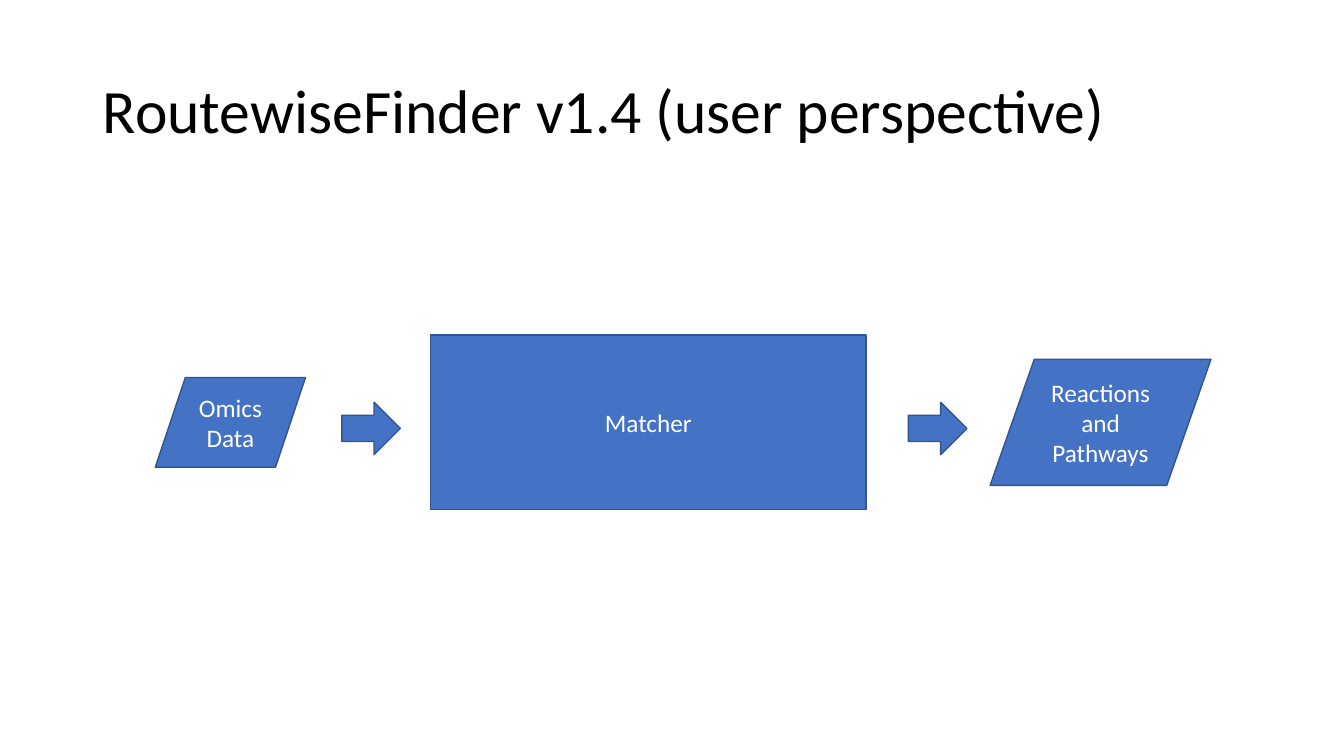
from pptx import Presentation
from pptx.dml.color import RGBColor
from pptx.enum.shapes import MSO_SHAPE as SHAPE
from pptx.enum.text import MSO_ANCHOR as ANCHOR, MSO_AUTO_SIZE as AUTO_SIZE, PP_ALIGN as ALIGN
from pptx.util import Inches, Pt

COLORS = {"text": "000000", "fill": "4472C4", "line": "325491", "label": "FFFFFF"}
FONT = "Calibri"
CENTER_Y = 4.19
ARROW_TOP = 3.99


def rgb(name):
    """Return the named colour."""
    return RGBColor.from_string(COLORS[name])


def write(tf, text, size, color, align):
    """Put one formatted run into a text frame, centred vertically."""
    tf.word_wrap = True
    tf.vertical_anchor = ANCHOR.MIDDLE
    p = tf.paragraphs[0]
    p.alignment = align
    r = p.add_run()
    r.text = text
    r.font.size = Pt(size)
    r.font.name = FONT
    r.font.color.rgb = rgb(color)
    return p


def add_title(slide, text):
    """Place and fill the title placeholder."""
    sp = slide.shapes.title
    sp.left, sp.top, sp.width, sp.height = map(Inches, (0.92, 0.4, 11.5, 1.45))
    p = write(sp.text_frame, text, 44, "text", ALIGN.LEFT)
    p.line_spacing = 0.9
    sp.text_frame.auto_size = AUTO_SIZE.NONE


def add_block(slide, kind, left, top, width, height):
    """Add a filled and outlined preset shape."""
    sp = slide.shapes.add_shape(kind, *map(Inches, (left, top, width, height)))
    sp.shadow.inherit = False
    sp.fill.solid()
    sp.fill.fore_color.rgb = rgb("fill")
    sp.line.color.rgb = rgb("line")
    sp.line.width = Pt(1)
    return sp


def add_step(slide, kind, left, width, height, text):
    """Add a labelled flowchart step centred on the flow line."""
    sp = add_block(slide, kind, left, CENTER_Y - height / 2, width, height)
    write(sp.text_frame, text, 18, "label", ALIGN.CENTER)


def add_arrow(slide, left):
    """Add a block arrow between two steps."""
    add_block(slide, SHAPE.RIGHT_ARROW, left, ARROW_TOP, 0.58, 0.52)


def main():
    """Build the slide and save it."""
    prs = Presentation()
    prs.slide_width, prs.slide_height = Inches(13.33), Inches(7.5)
    slide = prs.slides.add_slide(prs.slide_layouts[5])
    add_title(slide, "RoutewiseFinder v1.4 (user perspective)")
    add_step(slide, SHAPE.FLOWCHART_DATA, 1.54, 1.49, 0.89, "Omics Data")
    add_step(slide, SHAPE.FLOWCHART_PROCESS, 4.27, 4.32, 1.73, "Matcher")
    add_step(slide, SHAPE.FLOWCHART_DATA, 9.82, 2.19, 1.25, "Reactions and Pathways")
    for left in (3.39, 9.01):
        add_arrow(slide, left)
    prs.save("out.pptx")


main()
